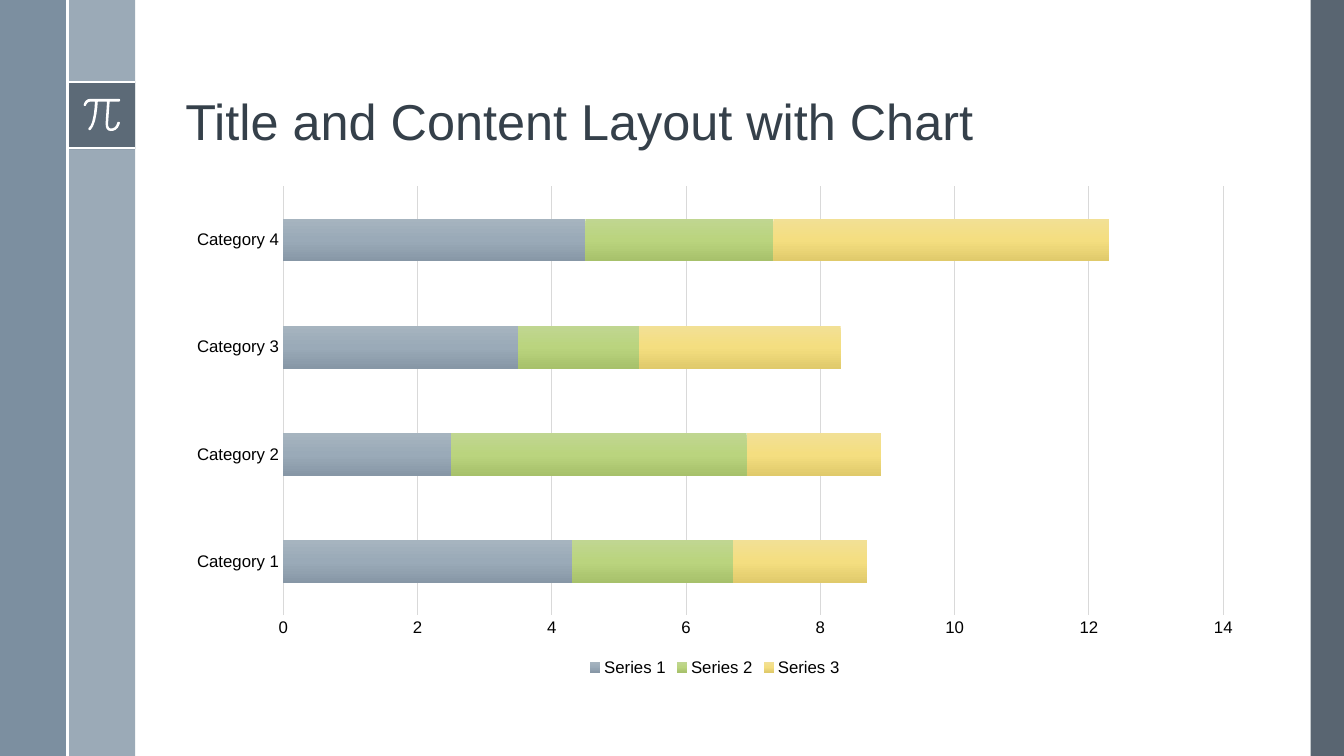
from dataclasses import dataclass

from lxml import etree
from pptx import Presentation
from pptx.chart.data import CategoryChartData as ChartData
from pptx.dml.color import RGBColor as RGB
from pptx.enum.chart import XL_CHART_TYPE as ChartType
from pptx.enum.chart import XL_LEGEND_POSITION as LegendPos
from pptx.enum.chart import XL_TICK_MARK as Tick
from pptx.enum.shapes import MSO_CONNECTOR as Conn
from pptx.enum.shapes import MSO_SHAPE as Shape
from pptx.enum.text import MSO_ANCHOR as Anchor
from pptx.oxml import parse_xml
from pptx.oxml.ns import nsdecls, qn
from pptx.util import Inches, Pt


@dataclass(frozen=True)
class Theme:
    font: str = "Arial"
    slate: str = "475562"
    steel: str = "6A8093"
    mist: str = "9BAAB7"
    white: str = "FFFFFF"
    title: str = "35404A"
    label: str = "000000"
    grid: str = "D9D9D9"
    title_size: float = 36
    label_size: float = 12
    rule_width: float = 1.5
    grid_width: float = 0.75


@dataclass(frozen=True)
class Panel:
    left: float
    top: float
    width: float
    height: float
    color: str
    opacity: int = 100


@dataclass(frozen=True)
class Rule:
    x1: float
    y1: float
    x2: float
    y2: float


@dataclass(frozen=True)
class Series:
    name: str
    values: tuple[float, ...]
    shades: tuple[str, str, str]  # top, middle, bottom


T = Theme()
WIDTH, HEIGHT = 13.33, 7.5
BAND = 0.67
TILE_TOP = 0.81
LEFT, CONTENT_WIDTH = 1.74, 10.7

PANELS = [
    Panel(13, 0, 0.33, HEIGHT, T.slate, 90),
    Panel(BAND, 0, BAND, HEIGHT, T.mist),
    Panel(0, 0, BAND, HEIGHT, T.steel, 88),
    Panel(BAND, TILE_TOP, BAND, BAND, T.slate, 75),
]
TILE_RULES = [Rule(BAND, y, 2 * BAND, y) for y in (TILE_TOP, TILE_TOP + 0.66)]
BAND_RULE = Rule(BAND, 0, BAND, HEIGHT)

# Outline of the pi sign, in thousandths of an inch
PI = [
    (1180, 980), (900, 980), (872, 985), (850, 1000), (836, 1022), (830, 1040),
    (833, 1049), (840, 1052), (850, 1049), (857, 1035), (868, 1020),
    (882, 1011), (900, 1008), (942, 1008), (938, 1070), (930, 1140),
    (914, 1210), (898, 1248), (880, 1270), (876, 1280), (881, 1288),
    (890, 1292), (900, 1288), (922, 1255), (943, 1200), (957, 1130),
    (966, 1060), (970, 1008), (1062, 1008), (1048, 1220), (1050, 1256),
    (1060, 1281), (1077, 1295), (1100, 1300), (1122, 1298), (1146, 1288),
    (1168, 1268), (1182, 1242), (1190, 1220), (1187, 1212), (1178, 1208),
    (1168, 1210), (1163, 1218), (1154, 1243), (1137, 1264), (1112, 1275),
    (1093, 1274), (1080, 1265), (1074, 1248), (1073, 1220), (1088, 1008),
    (1180, 1008), (1189, 1004), (1192, 994), (1189, 984),
]

CATEGORIES = [f"Category {n}" for n in range(1, 5)]
SERIES = [
    Series("Series 1", (4.3, 2.5, 3.5, 4.5), ("A6B4BF", "9AAAB8", "8797A6")),
    Series("Series 2", (2.4, 4.4, 1.8, 2.8), ("C0D691", "BAD47E", "A7C16B")),
    Series("Series 3", (2, 2, 3, 5), ("F2E095", "F4DE80", "E0CA6B")),
]


def set_all(obj, values: dict) -> None:
    for name, value in values.items():
        setattr(obj, name, value)


def set_font(font, size: float, color: str) -> None:
    set_all(font, {"name": T.font, "size": Pt(size), "bold": False})
    font.color.rgb = RGB.from_string(color)


def set_line(line, color: str, width: float) -> None:
    line.color.rgb = RGB.from_string(color)
    line.width = Pt(width)


def paint(sp, color: str, opacity: int = 100) -> None:
    sp.shadow.inherit = False
    sp.line.fill.background()
    sp.fill.solid()
    sp.fill.fore_color.rgb = RGB.from_string(color)
    if opacity < 100:
        clr = sp.fill._xPr.find(".//" + qn("a:srgbClr"))
        etree.SubElement(clr, qn("a:alpha"), val=str(opacity * 1000))


def add_panel(s, panel: Panel) -> None:
    box = (panel.left, panel.top, panel.width, panel.height)
    sp = s.shapes.add_shape(Shape.RECTANGLE, *map(Inches, box))
    paint(sp, panel.color, panel.opacity)


def add_rule(s, rule: Rule) -> None:
    ends = map(Inches, (rule.x1, rule.y1, rule.x2, rule.y2))
    cx = s.shapes.add_connector(Conn.STRAIGHT, *ends)
    set_line(cx.line, T.white, T.rule_width)
    etree.SubElement(cx._element.spPr, qn("a:effectLst"))


def add_pi(s) -> None:
    builder = s.shapes.build_freeform(*PI[0], scale=Inches(1) / 1000)
    builder.add_line_segments(PI[1:], close=True)
    paint(builder.convert_to_shape(), T.white)


def add_title(s, text: str) -> None:
    box = s.shapes.add_textbox(*map(Inches, (LEFT, 0.19, CONTENT_WIDTH, 1.36)))
    tf = box.text_frame
    set_all(tf, {"word_wrap": True, "vertical_anchor": Anchor.BOTTOM})
    p = tf.paragraphs[0]
    p.line_spacing = 0.9
    r = p.add_run()
    r.text = text
    set_font(r.font, T.title_size, T.title)


def set_gradient(series, shades: tuple[str, str, str]) -> None:
    stops = "".join(
        f'<a:gs pos="{i * 50000}"><a:srgbClr val="{shade}"/></a:gs>'
        for i, shade in enumerate(shades)
    )
    grad = parse_xml(
        f'<a:gradFill {nsdecls("a")} rotWithShape="1"><a:gsLst>{stops}</a:gsLst>'
        '<a:lin ang="5400000" scaled="0"/></a:gradFill>'
    )
    series.format.line.fill.background()
    series.format._element.get_or_add_spPr().insert(0, grad)


def add_bar_chart(s) -> None:
    data = ChartData()
    data.categories = CATEGORIES
    for item in SERIES:
        data.add_series(item.name, item.values)
    box = map(Inches, (LEFT, 1.75, CONTENT_WIDTH, 5))
    chart = s.shapes.add_chart(ChartType.BAR_STACKED, *box, data).chart
    set_all(chart, {"has_title": False, "has_legend": True})
    set_font(chart.font, T.label_size, T.label)
    set_all(chart.legend, {"position": LegendPos.BOTTOM, "include_in_layout": False})
    set_font(chart.legend.font, T.label_size, T.label)

    # Bars
    plot = chart.plots[0]
    set_all(plot, {"gap_width": 150, "overlap": 100, "vary_by_categories": False})
    for series, item in zip(plot.series, SERIES):
        set_gradient(series, item.shades)

    # Axes
    cat, val = chart.category_axis, chart.value_axis
    for axis in (cat, val):
        set_all(axis, {"major_tick_mark": Tick.NONE, "minor_tick_mark": Tick.NONE})
        set_font(axis.tick_labels.font, T.label_size, T.label)
    set_line(cat.format.line, T.grid, T.grid_width)
    set_all(val, {"minimum_scale": 0, "maximum_scale": 14, "major_unit": 2,
                  "has_major_gridlines": True})
    val.format.line.fill.background()
    set_line(val.major_gridlines.format.line, T.grid, T.grid_width)


def main() -> None:
    prs = Presentation()
    set_all(prs, {"slide_width": Inches(WIDTH), "slide_height": Inches(HEIGHT)})
    s = prs.slides.add_slide(prs.slide_layouts[6])

    # Side bands with the pi tile
    for panel in PANELS:
        add_panel(s, panel)
    for rule in TILE_RULES:
        add_rule(s, rule)
    add_pi(s)
    add_rule(s, BAND_RULE)

    # Content
    add_title(s, "Title and Content Layout with Chart")
    add_bar_chart(s)
    prs.save("out.pptx")


if __name__ == "__main__":
    main()
